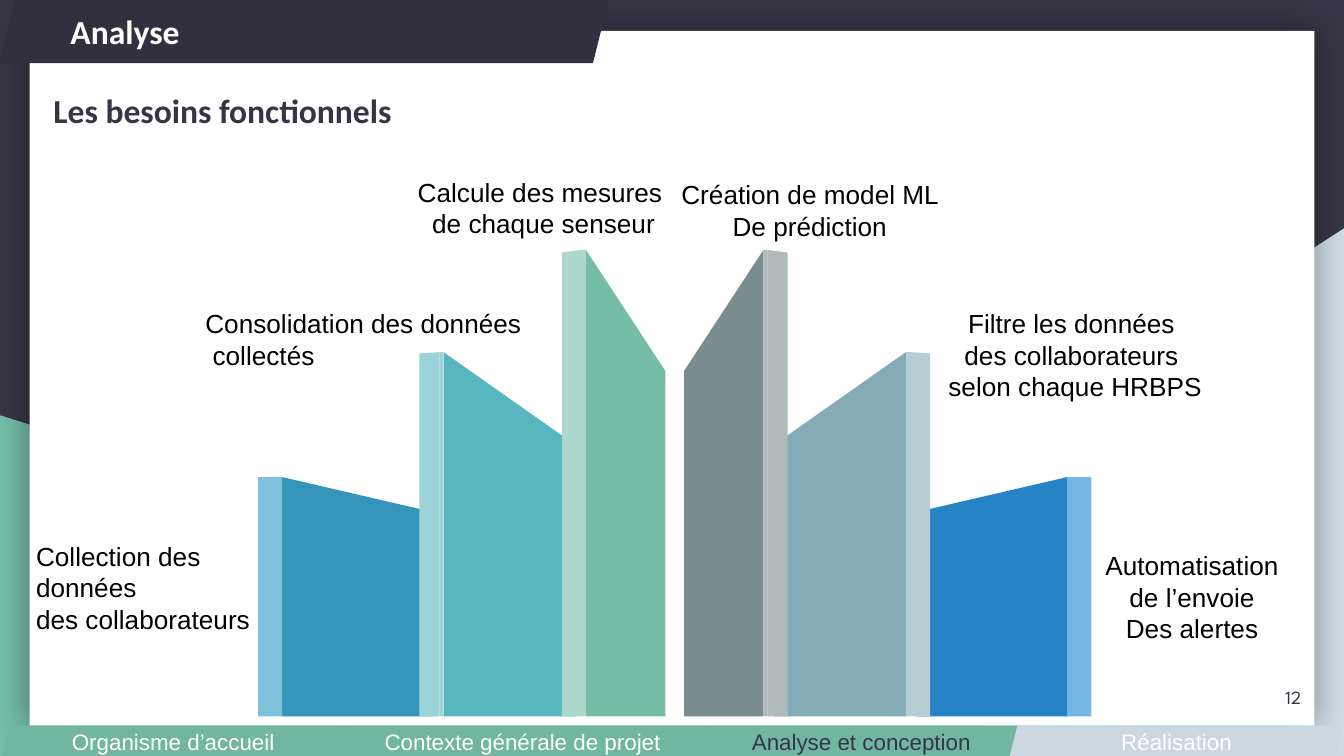
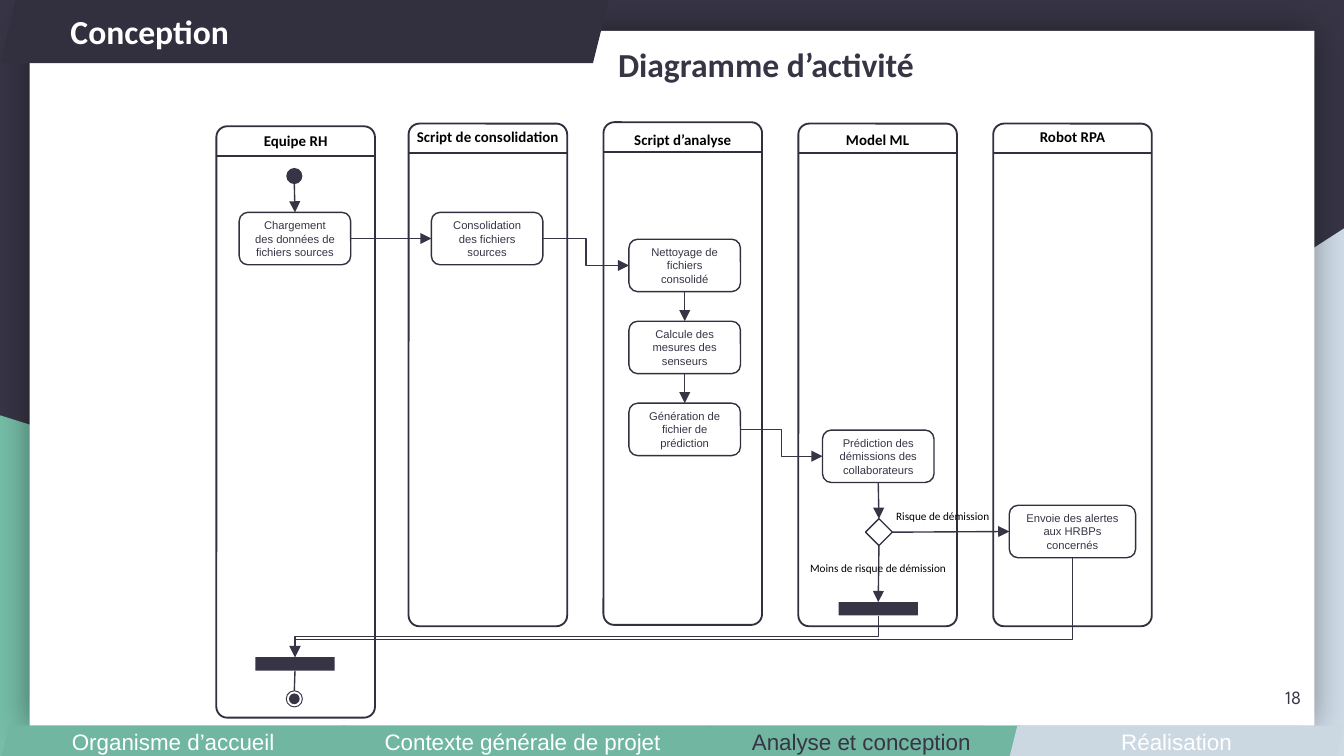
import dataclasses

import pptx
import pptx.dml.color
import pptx.enum.shapes
import pptx.enum.text
import pptx.oxml.ns
import pptx.util
from lxml import etree

KIND = pptx.enum.shapes.MSO_SHAPE
LINK = pptx.enum.shapes.MSO_CONNECTOR
ALIGN = pptx.enum.text.PP_ALIGN
MID = pptx.enum.text.MSO_ANCHOR.MIDDLE
GROW = pptx.enum.text.MSO_AUTO_SIZE.SHAPE_TO_FIT_TEXT
qn = pptx.oxml.ns.qn

deck = pptx.Presentation()
deck.slide_width = pptx.util.Inches(10)
deck.slide_height = pptx.util.Inches(5.625)
CELL = deck.slide_width / 100  # the grid has 100 columns, with square cells


@dataclasses.dataclass(frozen=True)
class Theme:
    """Colours, fonts and type sizes of the deck."""
    dark: str = "373545"
    ink: str = "32303F"
    white: str = "FFFFFF"
    black: str = "000000"
    green: str = "75BDA7"
    pale: str = "CEDBE6"
    done: str = "70B6A0"
    next: str = "CBD8E2"
    head: str = "Calibri"
    body: str = "Arial"
    page: str = "League Spartan"
    title: float = 18
    label: float = 14
    foot: float = 12
    num: float = 10
    lane: float = 8
    node: float = 6


T = Theme()


@dataclasses.dataclass(frozen=True)
class Box:
    """A rectangle in grid cells."""
    x: float
    y: float
    w: float
    h: float

    def sub(self, x, y, w, h):
        """Return a box placed from this one's corner."""
        return Box(self.x + x, self.y + y, w, h)

    def emu(self):
        """Return left, top, width and height in EMU."""
        return [round(n * CELL) for n in (self.x, self.y, self.w, self.h)]

    def port(self, side):
        """Return the middle of a side: l, r, t or b."""
        dx, dy = {"l": (0, .5), "r": (1, .5), "t": (.5, 0), "b": (.5, 1)}[side]
        return self.x + dx * self.w, self.y + dy * self.h


PAGE = Box(0, 0, 100, 56.25)


def rgb(hue):
    """Turn a hex string into a colour."""
    return pptx.dml.color.RGBColor.from_string(hue)


def style(item, fill=None, line=None, width=1):
    """Set fill and line of a shape and drop its shadow."""
    item.shadow.inherit = False
    if fill:
        item.fill.solid()
        item.fill.fore_color.rgb = rgb(fill)
    else:
        item.fill.background()
    if line:
        item.line.color.rgb = rgb(line)
        item.line.width = pptx.util.Pt(width)
    else:
        item.line.fill.background()
    return item


def shape(shapes, kind, box, fill=None, line=None, width=1):
    """Add a preset shape."""
    return style(shapes.add_shape(kind, *box.emu()), fill, line, width)


def write(frame, text, size, hue, font=T.body, bold=False,
          align=ALIGN.LEFT, space=None):
    """Fill a text frame, one paragraph a line."""
    frame.text = text
    for para in frame.paragraphs:
        para.alignment = align
        if space:
            para.line_spacing = space
        for run in para.runs:
            run.font.size = pptx.util.Pt(size)
            run.font.name = font
            run.font.bold = bold
            run.font.color.rgb = rgb(hue)


def note(slide, box, text, size, hue, wrap=True, **look):
    """Add a text box that grows with its text."""
    frame = slide.shapes.add_textbox(*box.emu()).text_frame
    write(frame, text, size, hue, **look)
    frame.word_wrap = wrap
    frame.auto_size = GROW
    return frame


def plate(slide, kind, box, text, size, hue, fill=None, line=None, width=1, **look):
    """Add a shape with text set in its middle."""
    frame = shape(slide.shapes, kind, box, fill, line, width).text_frame
    write(frame, text, size, hue, **look)
    frame.word_wrap = True
    frame.vertical_anchor = MID


def poly(shapes, points, fill):
    """Add a closed outline through the points."""
    spots = [(round(x * CELL), round(y * CELL)) for x, y in points]
    pen = shapes.build_freeform(*spots[0])
    pen.add_line_segments(spots[1:], close=True)
    style(pen.convert_to_shape(), fill)


def join(slide, start, end, tip=True, bend=None, turn=False):
    """Link two points; bend is the elbow's share, turn leaves downwards."""
    (x1, y1), (x2, y2) = start, end
    if turn:
        cx, cy, w, h = (x1 + x2) / 2, (y1 + y2) / 2, y2 - y1, x1 - x2
        x1, y1, x2, y2 = cx - w / 2, cy - h / 2, cx + w / 2, cy + h / 2
    kind = LINK.ELBOW if bend else LINK.STRAIGHT
    link = slide.shapes.add_connector(
        kind, *[round(n * CELL) for n in (x1, y1, x2, y2)])
    link.line.color.rgb = rgb(T.dark)
    link.line.width = pptx.util.Pt(.75)
    props = link.element.spPr
    if turn:
        props.find(qn("a:xfrm")).set("rot", "5400000")
    if bend:
        geom = props.find(qn("a:prstGeom"))
        guides = geom.find(qn("a:avLst"))
        if guides is None:
            guides = etree.SubElement(geom, qn("a:avLst"))
        etree.SubElement(guides, qn("a:gd"), name="adj1",
                         fmla=f"val {round(bend * 100000)}")
    if tip:
        etree.SubElement(props.find(qn("a:ln")), qn("a:tailEnd"), type="triangle")
    etree.SubElement(props, qn("a:effectLst"))
    return link


def back(slide, box):
    """Draw the dark ground, two corners and the white panel."""
    slide.background.fill.solid()
    slide.background.fill.fore_color.rgb = rgb(T.dark)
    right = shape(slide.shapes, KIND.RIGHT_TRIANGLE,
                  box.sub(39.2, 17, 60.8, 39.3), T.pale)
    right.element.spPr.find(qn("a:xfrm")).set("flipH", "1")
    shape(slide.shapes, KIND.RIGHT_TRIANGLE, box.sub(0, 30.9, 80.6, 25.4), T.green)
    panel = shape(slide.shapes, KIND.RECTANGLE, box.sub(2.2, 2.3, 95.6, 51.7), T.white)
    glow = etree.SubElement(panel.element.spPr.find(qn("a:effectLst")),
                            qn("a:outerShdw"), blurRad=str(pptx.util.Pt(18)),
                            dist="0", dir="0", algn="ctr", rotWithShape="0")
    tone = etree.SubElement(glow, qn("a:srgbClr"), val=T.black)
    etree.SubElement(tone, qn("a:alpha"), val="40000")


def footer(slide, box):
    """Draw the four steps, the current one in dark text."""
    for x, w, text, fill, hue in (
            (.1, 25.6, "Organisme d’accueil", T.done, T.white),
            (52.3, 23.6, "Analyse et conception", T.done, T.dark),
            (75.1, 24.9, "Réalisation", T.next, T.white),
            (24.9, 28, "Contexte générale de projet", T.done, T.white)):
        plate(slide, KIND.PARALLELOGRAM, box.sub(x, 0, w, box.h), text,
              T.foot, hue, fill, align=ALIGN.CENTER)


def base(part, title, spot, page):
    """Start a slide with its section tab, title, page number and footer."""
    slide = deck.slides.add_slide(deck.slide_layouts[6])
    back(slide, PAGE)
    plate(slide, KIND.PARALLELOGRAM, PAGE.sub(0, 0, 45.3, 4.7), part,
          T.title, T.white, T.ink, font=T.head, bold=True)
    note(slide, spot, title, T.title, T.dark, wrap=False,
         font=T.head, bold=True, space=1.5)
    area = slide.shapes.add_textbox(*PAGE.sub(91.8, 49.7, 6, 4.3).emu())
    frame = area.text_frame
    write(frame, page, T.num, T.dark, font=T.page, align=ALIGN.RIGHT)
    frame.word_wrap = True
    frame.vertical_anchor = MID
    frame.margin_top = frame.margin_bottom = pptx.util.Inches(.1)
    footer(slide, PAGE.sub(0, 54, 100, 2.4))
    return slide


def tower(slide, box, bar, hues, flip):
    """Draw one bar: sloped face, side and fold, mirrored when flip is set."""
    left, right, top, low, dip = bar
    face, side = hues
    shapes = slide.shapes.add_group_shape().shapes

    def spot(x, y):
        return box.x + (box.w - x if flip else x), box.y + y

    def strip(x, w):
        edge = box.w - x - w if flip else x
        shape(shapes, KIND.RECTANGLE, box.sub(edge, top, w, box.h - top), side)

    poly(shapes, [spot(right, box.h), spot(left + 1.8, box.h),
                  spot(left + 1.8, top), spot(right, low)], face)
    if dip:
        poly(shapes, [spot(left, box.h), spot(left + 1.5, box.h),
                      spot(left + 1.5, top), spot(left, top + dip)], side)
    else:
        strip(left, 1.5)
    strip(left + 1.5, .3)


def towers(slide, box):
    """Draw three bars on each side of the middle, from the outside in."""
    bars = ((0, 13, 16.9, 19.5, 0),
            (12, 23.6, 7.6, 14.5, .1),
            (22.6, 30.3, 0, 9, .2))
    halves = ((("3494BA", "7FC1DB"), ("58B6C0", "9BD3D9"), (T.green, "ACD7CA")),
              (("2683C6", "75B6E5"), ("84ACB6", "B5CDD3"), ("7A8C8E", "AFBABB")))
    for flip, half in enumerate(halves):
        for bar, hues in zip(bars, half):
            tower(slide, box, bar, hues, flip)


def needs(slide, box):
    """Write the caption of each bar."""
    left, mid = ALIGN.LEFT, ALIGN.CENTER
    for x, y, w, h, wrap, align, text in (
            (1.7, 39.7, 18.3, 8.1, True, left, "Collection des données\ndes collaborateurs"),
            (14.3, 22.4, 25.6, 5.7, False, left, "Consolidation des données\n collectés"),
            (29.7, 12.6, 21.5, 5.7, False, mid, "Calcule des mesures \nde chaque senseur"),
            (49.5, 12.8, 21.5, 5.7, True, mid, "Création de model ML \nDe prédiction"),
            (69.5, 22.4, 21, 8.1, False, mid,
             "Filtre les données \ndes collaborateurs \nselon chaque HRBPS"),
            (81.2, 40.4, 15, 8.1, True, mid, "Automatisation de l’envoie\nDes alertes")):
        note(slide, box.sub(x, y, w, h), text, T.label, T.black, wrap, align=align)


def lane(slide, box, name, drop):
    """Draw a swimlane with its name above a rule."""
    frame = shape(slide.shapes, KIND.ROUNDED_RECTANGLE, box, None, T.ink)
    frame.adjustments[0] = .068
    y = box.y + 2.2
    rule = join(slide, (box.x, y), (box.x + box.w, y), tip=False)
    rule.line.color.rgb = rgb(T.ink)
    rule.line.width = pptx.util.Pt(1)
    note(slide, box.sub(-.7, drop, box.w + 1.4, 2.4), name, T.lane, T.black,
         font=T.head, bold=True, align=ALIGN.CENTER)


def flow(slide, box):
    """Draw the activity diagram: lanes, steps, marks and links."""
    lane(slide, box.sub(0, .3, 11.8, 44), "Equipe RH", -.1)
    for i, (name, y, drop) in enumerate((
            ("Script de consolidation", .1, -.2), ("Script d’analyse", 0, .1),
            ("Model ML", .1, 0), ("Robot RPA", .1, -.2))):
        lane(slide, box.sub(14.3 + 14.5 * i, y, 11.8, 37.4), name, drop)

    spots = {}
    for key, x, y, w, text in (
            ("load", 1.7, 6.7, 8.3, "Chargement des données de fichiers sources"),
            ("merge", 16, 6.7, 8.3, "Consolidation des fichiers sources"),
            ("clean", 30.7, 8.7, 8.3, "Nettoyage de fichiers consolidé"),
            ("count", 30.7, 14.8, 8.3, "Calcule des mesures des senseurs"),
            ("make", 30.7, 20.9, 8.3, "Génération de fichier de prédiction"),
            ("guess", 45.1, 22.9, 8.3, "Prédiction des démissions des collaborateurs"),
            ("alert", 59, 28.5, 9.4, "Envoie des alertes aux HRBPs concernés")):
        spots[key] = box.sub(x, y, w, 3.9)
        plate(slide, KIND.ROUNDED_RECTANGLE, spots[key], text, T.node, T.dark,
              None, T.ink, .75, align=ALIGN.CENTER)

    for key, kind, x, y, w, h, fill, line, width in (
            ("test", KIND.DIAMOND, 48.3, 29.5, 2, 2, None, T.ink, .75),
            ("stop", KIND.RECTANGLE, 46.3, 35.7, 5.9, 1, T.dark, None, 1),
            ("meet", KIND.RECTANGLE, 2.9, 39.8, 5.9, 1, T.dark, None, 1),
            ("start", KIND.OVAL, 5.2, 3.4, 1.2, 1.2, T.dark, None, 1),
            ("end", KIND.OVAL, 5.2, 42.3, 1.2, 1.2, None, T.dark, .5),
            ("core", KIND.OVAL, 5.4, 42.5, .8, .8, T.dark, None, 1)):
        spots[key] = box.sub(x, y, w, h)
        shape(slide.shapes, kind, spots[key], fill, line, width)

    for a, out, b, into, look in (
            ("start", "b", "load", "t", {}),
            ("load", "r", "merge", "l", {}),
            ("merge", "r", "clean", "l", {"bend": .5}),
            ("clean", "b", "count", "t", {}),
            ("count", "b", "make", "t", {}),
            ("make", "r", "guess", "l", {"bend": .5}),
            ("guess", "b", "test", "t", {}),
            ("test", "r", "alert", "l", {}),
            ("test", "b", "stop", "t", {}),
            ("alert", "b", "meet", "t", {"bend": .82, "turn": True}),
            ("meet", "b", "end", "t", {"tip": False}),
            ("stop", "b", "meet", "t", {"bend": .5, "turn": True})):
        join(slide, spots[a].port(out), spots[b].port(into), **look)

    for x, y, w, text in ((49.6, 28.3, 9, "Risque de démission"),
                          (43.2, 32.2, 12.2, "Moins de risque de démission")):
        note(slide, box.sub(x, y, w, 2), text, T.node, T.black, False, font=T.head)


first = base("Analyse", "Les besoins fonctionnels", PAGE.sub(3, 4.7, 27.4, 5.1), "12")
needs(first, PAGE)
towers(first, PAGE.sub(19.2, 18.6, 62, 34.7))

second = base("Conception", "Diagramme d’activité", PAGE.sub(45, 1.3, 24.5, 5.1), "18")
flow(second, PAGE.sub(16.1, 9.1, 69.7, 44.3))

deck.save("out.pptx")
